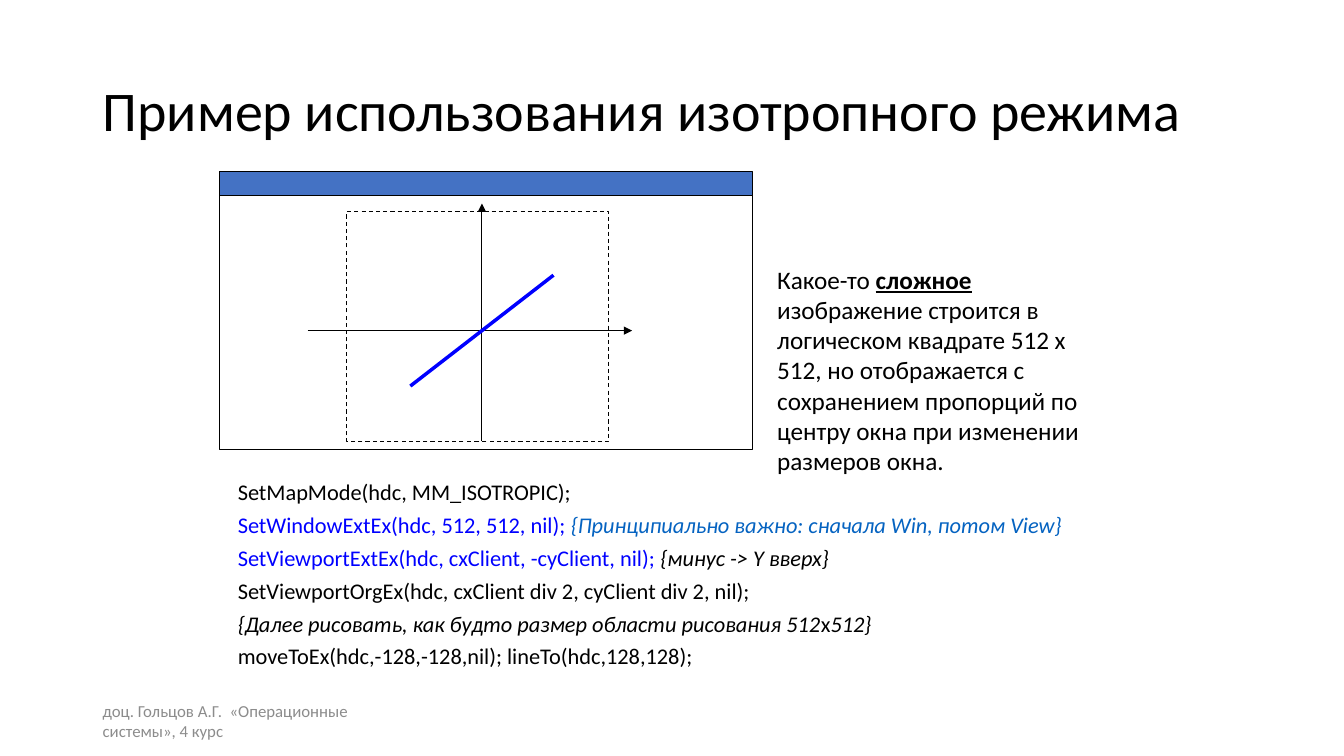
from pptx import Presentation
from pptx.dml.color import RGBColor
from pptx.enum.dml import MSO_LINE
from pptx.enum.shapes import MSO_CONNECTOR, MSO_SHAPE
from pptx.enum.text import MSO_ANCHOR, MSO_AUTO_SIZE, PP_ALIGN
from pptx.oxml.ns import qn
from pptx.util import Inches, Pt
from lxml.etree import SubElement

BLACK = RGBColor(0x00, 0x00, 0x00)
WHITE = RGBColor(0xFF, 0xFF, 0xFF)
GRAY = RGBColor(0x8C, 0x8C, 0x8C)
BLUE = RGBColor(0x00, 0x00, 0xFF)
NOTE_BLUE = RGBColor(0x05, 0x63, 0xC1)
CAPTION_BLUE = RGBColor(0x44, 0x72, 0xC4)


def place(shape, bounds):
    for name, value in zip(("left", "top", "width", "height"), bounds):
        setattr(shape, name, Inches(value))


def add_spans(para, spans, size):
    """Fill a paragraph with (text, colour, font attributes) spans."""
    for text, color, attributes in spans:
        span = para.add_run()
        span.text = text
        span.font.name = "Calibri"
        span.font.size = Pt(size)
        span.font.color.rgb = color
        for name, value in attributes.items():
            setattr(span.font, name, value)


deck = Presentation()
deck.slide_width, deck.slide_height = Inches(13.33), Inches(7.5)
page = deck.slides.add_slide(deck.slide_layouts[5])

# Title
title = page.shapes.title
place(title, (0.92, 0.4, 11.5, 1.45))
title.text_frame.vertical_anchor = MSO_ANCHOR.MIDDLE
title.text_frame.auto_size = MSO_AUTO_SIZE.NONE
title_para = title.text_frame.paragraphs[0]
title_para.alignment = PP_ALIGN.LEFT
title_para.line_spacing = 0.9
add_spans(title_para, [("Пример использования изотропного режима", BLACK, {})], 40)

# Text blocks: bounds, size, anchor, paragraph format, paragraphs
ITALIC = {"italic": True}
footer = [[("доц. Гольцов А.Г.  «Операционные системы», 4 курс", GRAY, {})]]
code = [
    [("SetMapMode(hdc, MM_ISOTROPIC);", BLACK, {})],
    [("SetWindowExtEx(hdc, 512, 512, nil); ", BLUE, {}),
     ("{Принципиально важно: сначала Win, потом View}", NOTE_BLUE, ITALIC)],
    [("SetViewportExtEx(hdc, cxClient, -cyClient, nil); ", BLUE, {}),
     ("{минус -> Y вверх}", BLACK, ITALIC)],
    [("SetViewportOrgEx(hdc, cxClient div 2, cyClient div 2, nil);", BLACK, {})],
    [("{Далее рисовать, как будто размер области рисования 512", BLACK, ITALIC),
     ("x", BLACK, {}),
     ("512}", BLACK, ITALIC)],
    [("moveToEx(hdc,-128,-128,nil); lineTo(hdc,128,128);", BLACK, {})],
]
explanation = [[
    ("Какое-то ", BLACK, {}),
    ("сложное", BLACK, {"bold": True, "underline": True}),
    (" изображение строится в логическом квадрате 512 х 512, но отображается "
     "с сохранением пропорций по центру окна при изменении размеров окна.", BLACK, {}),
]]
code_format = {"line_spacing": 0.7, "space_before": Pt(10)}
for bounds, size, anchor, para_format, paragraphs in (
    ((0.92, 6.95, 3, 0.4), 12, MSO_ANCHOR.MIDDLE, {}, footer),
    ((2.26, 4.77, 9.21, 2.05), 16, MSO_ANCHOR.TOP, code_format, code),
    ((7.61, 2.57, 3.31, 2.22), 18, MSO_ANCHOR.TOP, {}, explanation),
):
    box = page.shapes.add_textbox(*map(Inches, bounds))
    frame = box.text_frame
    frame.word_wrap = True
    frame.vertical_anchor = anchor
    for index, spans in enumerate(paragraphs):
        para = frame.add_paragraph() if index else frame.paragraphs[0]
        for name, value in para_format.items():
            setattr(para, name, value)
        add_spans(para, spans, size)

# Window: caption bar, client area, logical square
for bounds, fill, dash in (
    ((2.18, 1.7, 5.28, 0.24), CAPTION_BLUE, None),
    ((2.18, 1.94, 5.28, 2.52), WHITE, None),
    ((3.44, 2.1, 2.6, 2.28), None, MSO_LINE.DASH),
):
    panel = page.shapes.add_shape(MSO_SHAPE.RECTANGLE, *map(Inches, bounds))
    panel.shadow.inherit = False
    if fill is None:
        panel.fill.background()
    else:
        panel.fill.solid()
        panel.fill.fore_color.rgb = fill
    panel.line.color.rgb = BLACK
    panel.line.width = Pt(0.75)
    panel.line.dash_style = dash

# Axes and the drawn line
for ends, color, width, has_arrow in (
    ((4.78, 4.38, 4.78, 2.02), BLACK, 0.75, True),
    ((3.05, 3.28, 6.27, 3.28), BLACK, 0.75, True),
    ((4.07, 3.83, 5.49, 2.73), BLUE, 2.5, False),
):
    stroke = page.shapes.add_connector(MSO_CONNECTOR.STRAIGHT, *map(Inches, ends))
    stroke.line.color.rgb = color
    stroke.line.width = Pt(width)
    if has_arrow:
        SubElement(stroke.line._get_or_add_ln(), qn("a:tailEnd"), type="triangle")
    SubElement(stroke._element.spPr, qn("a:effectLst"))

deck.save("out.pptx")
